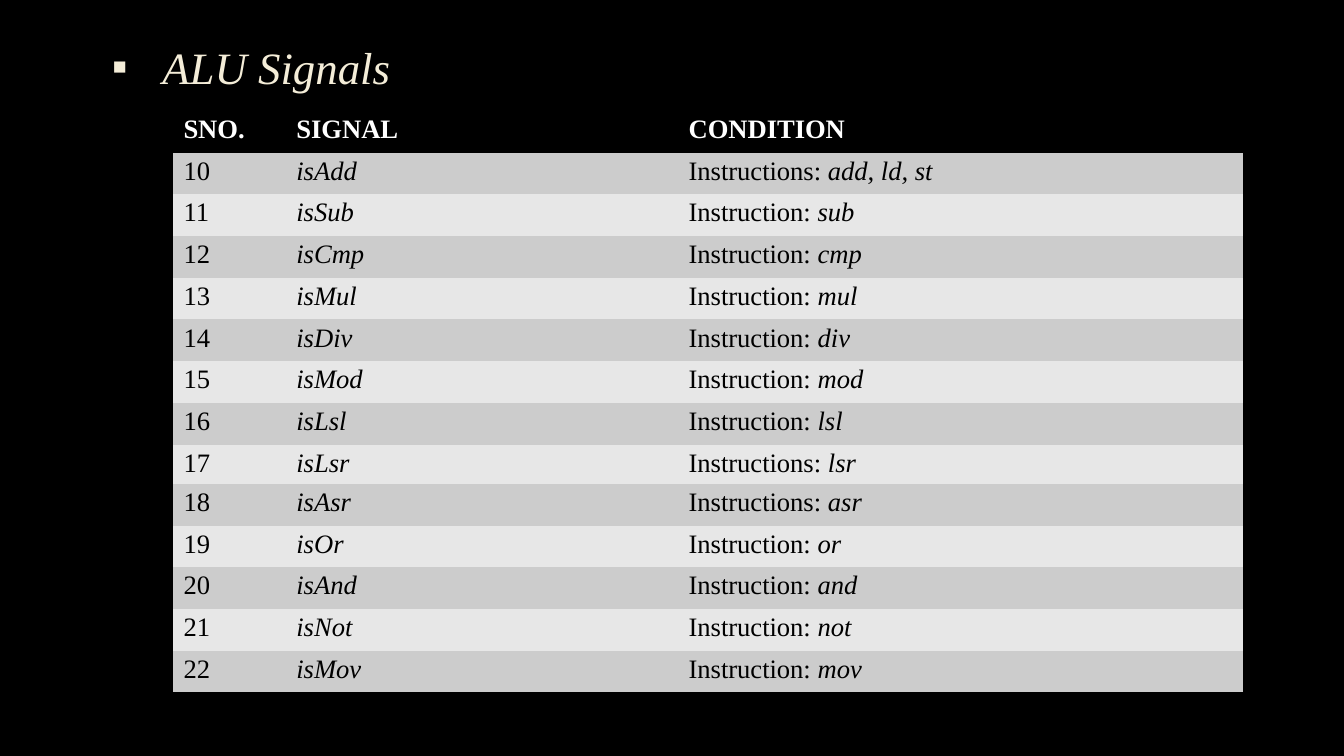
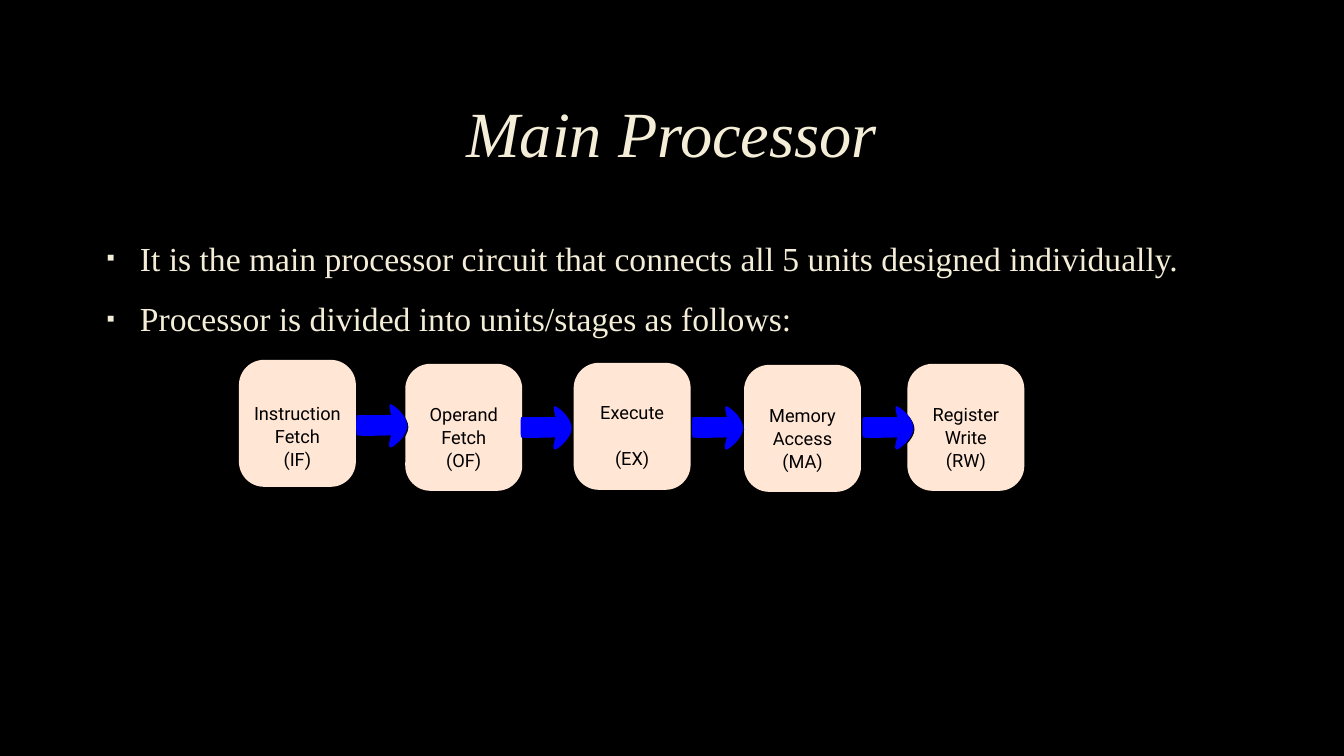
from lxml import etree
from pptx import Presentation
from pptx.dml.color import RGBColor as Rgb
from pptx.enum.shapes import MSO_SHAPE as Shape
from pptx.enum.text import MSO_ANCHOR as Anchor, MSO_AUTO_SIZE as Fit, PP_ALIGN as Align
from pptx.oxml.ns import qn
from pptx.util import Inches, Pt

HUES = {
    "black": "000000", "white": "FFFFFF", "cream": "F4EDD8", "edge": "404040",
    "dark": "CCCCCC", "light": "E7E7E7", "peach": "FFE6D5", "blue": "0000FF",
}
SERIF, SANS = "Times New Roman", "Roboto"
TITLE = {"name": SERIF, "italic": True}
BODY = {"name": SERIF, "size": Pt(24)}
CELL = {"name": SERIF, "size": Pt(19)}
LABEL = {"name": SANS, "size": Pt(13)}
PLAIN = "{2D5ABB26-0587-4C30-8999-92F81FD0307C}"  # table style without grid

OPS = ["Add", "Sub", "Cmp", "Mul", "Div", "Mod", "Lsl",
       "Lsr", "Asr", "Or", "And", "Not", "Mov"]
PLURAL = {"Add", "Lsr", "Asr"}
POINTS = [
    "It is the main processor circuit that connects all 5 units designed individually.",
    "Processor is divided into units/stages as follows:",
]
# left, top, top of text, lines
STAGES = [
    (2.37, 3.57, 3.9, ["Instruction", "Fetch", "(IF)"]),
    (4.02, 3.61, 3.91, ["Operand", "Fetch", "(OF)"]),
    (5.69, 3.6, 3.89, ["Execute", "(EX)"]),
    (7.38, 3.62, 3.92, ["Memory", "Access", "(MA)"]),
    (9, 3.61, 3.91, ["Register", "Write", "(RW)"]),
]
ARROWS = [(3.53, 4.01), (5.16, 4.03), (6.86, 4.03), (8.55, 4.03)]
# Bezier pieces of an arrow: two handles and an end, from its top left
START = (0.34, 0)
CURVES = [
    ((0.32, 0.01), (0.35, 0.11), (0.35, 0.11)),
    ((0.35, 0.11), (0.03, 0.11), (0.01, 0.11)),
    ((0, 0.12), (0, 0.3), (0.01, 0.31)),
    ((0.03, 0.32), (0.35, 0.31), (0.35, 0.31)),
    ((0.35, 0.31), (0.31, 0.42), (0.34, 0.43)),
    ((0.36, 0.44), (0.51, 0.32), (0.51, 0.22)),
    ((0.51, 0.11), (0.37, 0), START),
]


def paint(fill, hue):
    fill.solid()
    fill.fore_color.rgb = Rgb.from_string(HUES[hue])


def put(item, values):
    for key, value in values.items():
        setattr(item, key, value)


def write(para, text, hue, style, **more):
    run = para.add_run()
    run.text = text
    put(run.font, {**style, **more})
    paint(run.font.fill, hue)
    return run


def edge(run):
    """Give the letters a thin, mostly clear outline."""
    props = run.font._element
    line = etree.Element(qn("a:ln"), w=str(Pt(0.75)))
    fill = etree.SubElement(line, qn("a:solidFill"))
    tint = etree.SubElement(fill, qn("a:srgbClr"), val=HUES["edge"])
    etree.SubElement(tint, qn("a:alpha"), val="10000")
    props.insert(0, line)


def bullet(para, left, hang, size=100):
    props = para._p.get_or_add_pPr()
    props.set("marL", str(Inches(left)))
    props.set("indent", str(-Inches(hang)))
    tint = etree.SubElement(props, qn("a:buClr"))
    etree.SubElement(tint, qn("a:srgbClr"), val=HUES["cream"])
    etree.SubElement(props, qn("a:buSzPct"), val=str(size * 1000))
    etree.SubElement(props, qn("a:buFont"), typeface=SERIF)
    etree.SubElement(props, qn("a:buChar"), char="▪")


def add_page(deck, text, left, top, size, align):
    page = deck.slides.add_slide(deck.slide_layouts[5])
    title = page.shapes.title
    put(title, {"left": Inches(left), "top": Inches(top),
                "width": Inches(11.32), "height": Inches(1.38)})
    put(title.text_frame, {"vertical_anchor": Anchor.MIDDLE,
                           "auto_size": Fit.NONE, "word_wrap": True})
    para = title.text_frame.paragraphs[0]
    put(para, {"alignment": align, "line_spacing": 0.9})
    edge(write(para, text, "cream", TITLE, size=Pt(size)))
    return page


def fill_cell(cell, hue, parts, ink="black", bold=False):
    """Fill a cell with (text, italic) parts."""
    paint(cell.fill, hue)
    put(cell, {"margin_top": Inches(0.04), "margin_bottom": Inches(0.04)})
    para = cell.text_frame.paragraphs[0]
    for text, slant in parts:
        write(para, text, ink, CELL, bold=bold, italic=slant)


def add_grid(page):
    widths, tall, short = [1.12, 3.89, 5.6], 5.77, 0.39
    count = len(OPS) + 1
    frame = page.shapes.add_table(count, len(widths), Inches(1.72), Inches(1.1),
                                  Inches(sum(widths)), Inches(tall))
    grid = frame.table
    grid.horz_banding = False
    grid._tbl.tblPr.find(qn("a:tableStyleId")).text = PLAIN
    for col, width in zip(grid.columns, widths):
        col.width = Inches(width)
    for row in grid.rows:
        row.height = Inches((tall - short) / (count - 1))
    grid.rows[OPS.index("Lsr") + 1].height = Inches(short)

    for col, head in enumerate(["SNO.", "SIGNAL", "CONDITION"]):
        fill_cell(grid.cell(0, col), "black", [(head, False)], "white", True)
    for row, op in enumerate(OPS, 1):
        lead = "Instructions: " if op in PLURAL else "Instruction: "
        code = "add, ld, st" if op == "Add" else op.lower()
        cells = [[(str(row + 9), False)], [("is" + op, True)],
                 [(lead, False), (code, True)]]
        for col, parts in enumerate(cells):
            fill_cell(grid.cell(row, col), "dark" if row % 2 else "light", parts)


def add_points(page):
    box = page.shapes.add_textbox(Inches(0.91), Inches(2.27), Inches(11.9), Inches(4.68))
    frame = box.text_frame
    frame.word_wrap = True
    for num, text in enumerate(POINTS):
        para = frame.add_paragraph() if num else frame.paragraphs[0]
        put(para, {"line_spacing": 1.1, "space_before": Pt(5.5), "space_after": Pt(6)})
        bullet(para, 0.38, 0.33, 70)
        edge(write(para, text, "cream", BODY))


def add_stage(page, left, top, start, lines):
    wide, high, pitch = 1.16, 1.26, Pt(16.6)
    box = page.shapes.add_shape(Shape.ROUNDED_RECTANGLE, Inches(left), Inches(top),
                                Inches(wide), Inches(high))
    box.adjustments[0] = 0.25 / wide
    box.shadow.inherit = False
    box.line.fill.background()
    paint(box.fill, "peach")
    frame = box.text_frame
    put(frame, {"margin_left": 0, "margin_right": 0, "margin_bottom": 0,
                "margin_top": Inches(start - top),
                "vertical_anchor": Anchor.TOP, "word_wrap": True})
    for num, text in enumerate(lines):
        para = frame.add_paragraph() if num else frame.paragraphs[0]
        put(para, {"alignment": Align.CENTER, "line_spacing": pitch})
        write(para, text, "black", LABEL)
    if len(lines) == 2:
        frame.paragraphs[0].space_after = pitch


def trace(steps=8):
    """Return the arrow outline as points along its curves."""
    spots, last = [], START
    for one, two, end in CURVES:
        for step in range(1, steps + 1):
            t = step / steps
            u = 1 - t
            spots.append(tuple(
                u**3 * a + 3 * u * u * t * b + 3 * u * t * t * c + t**3 * d
                for a, b, c, d in zip(last, one, two, end)))
        last = end
    return spots


def add_arrow(page, left, top, hue):
    def place(x, y):
        return Inches(left + x), Inches(top + y)

    pen = page.shapes.build_freeform(*place(*START))
    pen.add_line_segments([place(*spot) for spot in trace()], close=True)
    arrow = pen.convert_to_shape()
    arrow.shadow.inherit = False
    arrow.line.fill.background()
    paint(arrow.fill, hue)


def main():
    deck = Presentation()
    put(deck, {"slide_width": Inches(13.33), "slide_height": Inches(7.5)})
    paint(deck.slide_master.background.fill, "black")

    page = add_page(deck, "ALU Signals", 1.01, 0, 32, Align.LEFT)
    bullet(page.shapes.title.text_frame.paragraphs[0], 0.5, 0.5)
    add_grid(page)

    page = add_page(deck, "Main Processor", 1, 0.67, 46, Align.CENTER)
    add_points(page)
    for stage in STAGES:
        add_stage(page, *stage)
    for left, top in ARROWS:
        add_arrow(page, left + 0.01, top + 0.01, "black")
        add_arrow(page, left, top, "blue")
    deck.save("out.pptx")


if __name__ == "__main__":
    main()
